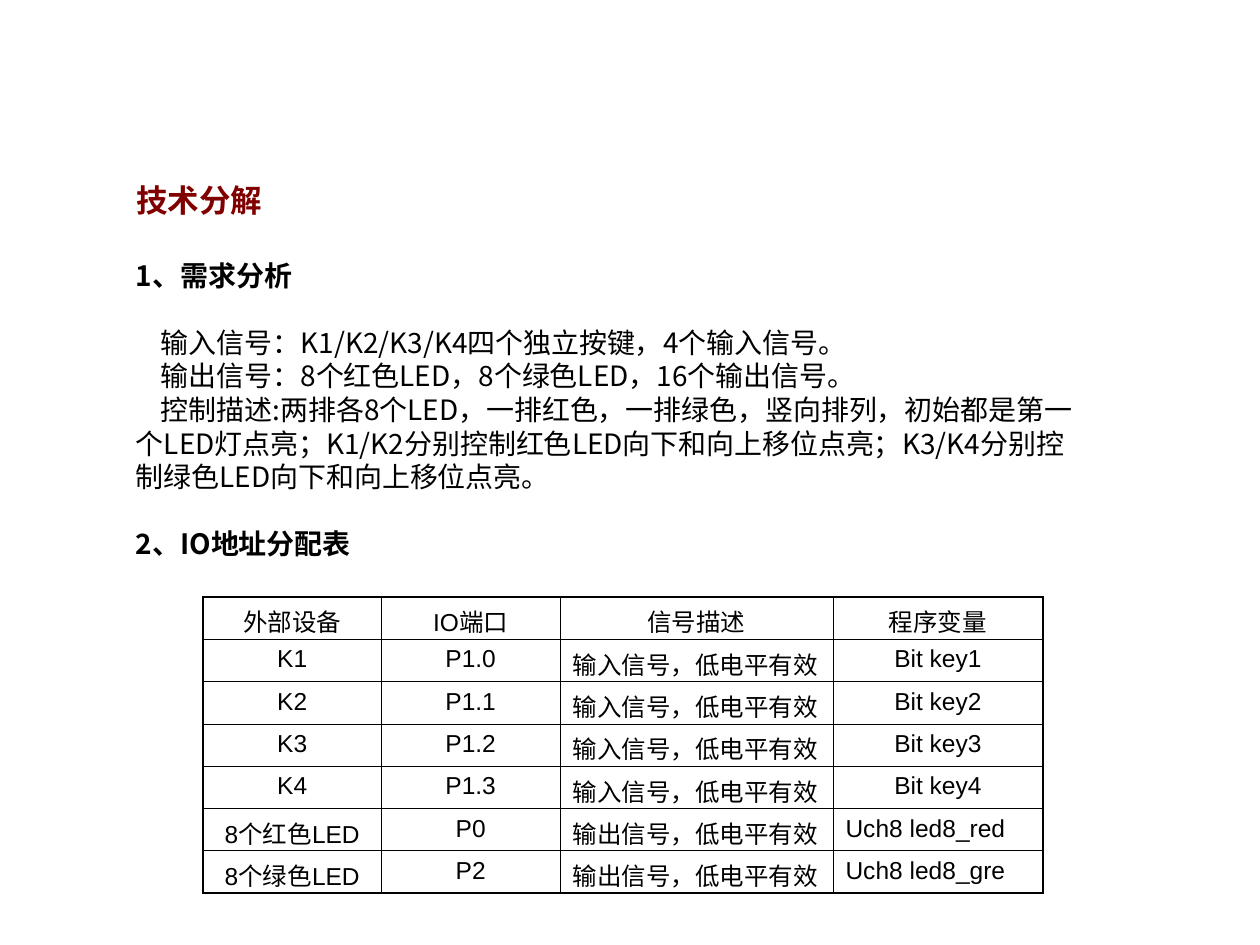
from lxml.etree import SubElement
from pptx import Presentation
from pptx.dml.color import RGBColor
from pptx.enum.text import MSO_ANCHOR, MSO_AUTO_SIZE, PP_ALIGN
from pptx.oxml.ns import qn
from pptx.util import Pt

CJK = "Noto Sans CJK SC"
LATIN = "Arial"
BLACK = "000000"
DARK_RED = "800000"


def color(value):
    return RGBColor.from_string(value)


class SlideBuilder:
    line_factor = 1.2
    body_size = 16
    table_size = 14
    outer_border = 1.08
    inner_border = 0.45

    def __init__(self, slide):
        self.slide = slide

    def format_runs(self, paragraph, size, latin=CJK, shade=BLACK, bold=False):
        for run in paragraph.runs:
            run.font.size = Pt(size)
            run.font.bold = bold
            run.font.name = latin
            run.font.color.rgb = color(shade)
            SubElement(run.font._element, qn("a:ea"), typeface=CJK)

    def prepare_frame(self, frame):
        frame.word_wrap = True
        frame.auto_size = MSO_AUTO_SIZE.NONE
        frame.vertical_anchor = MSO_ANCHOR.TOP

    def title(self, text, left, top, width, height, size):
        heading = self.slide.shapes.title
        heading.left, heading.top = Pt(left), Pt(top)
        heading.width, heading.height = Pt(width), Pt(height)
        frame = heading.text_frame
        self.prepare_frame(frame)
        frame.text = text
        paragraph = frame.paragraphs[0]
        paragraph.alignment = PP_ALIGN.LEFT
        paragraph.line_spacing = Pt(size * self.line_factor)
        self.format_runs(paragraph, size, shade=DARK_RED, bold=True)

    def sections(self, content, left, top, width, height, indent):
        box = self.slide.shapes.add_textbox(Pt(left), Pt(top), Pt(width), Pt(height))
        frame = box.text_frame
        self.prepare_frame(frame)
        pitch = Pt(self.body_size * self.line_factor)
        frame.text = "\n".join(text for text, _ in content)
        after_heading = False
        for index, (paragraph, (_, is_heading)) in enumerate(zip(frame.paragraphs, content)):
            paragraph.line_spacing = pitch
            if index and (is_heading or after_heading):
                paragraph.space_before = pitch
            if not is_heading:
                paragraph._p.get_or_add_pPr().set("indent", str(Pt(indent)))
            self.format_runs(paragraph, self.body_size, bold=is_heading)
            after_heading = is_heading

    def border(self, cell, side, width):
        line = SubElement(cell._tc.get_or_add_tcPr(), qn(f"a:{side}"), w=str(Pt(width)))
        fill = SubElement(line, qn("a:solidFill"))
        SubElement(fill, qn("a:srgbClr"), val=BLACK)

    def cell(self, cell, text, alignment, outer_sides):
        cell.text = text
        cell.margin_left = cell.margin_right = Pt(7.2)
        cell.margin_top, cell.margin_bottom = Pt(3.6), 0
        cell.vertical_anchor = MSO_ANCHOR.TOP
        paragraph = cell.text_frame.paragraphs[0]
        paragraph.alignment = alignment
        self.format_runs(paragraph, self.table_size, latin=LATIN)
        for side, is_outer in outer_sides.items():
            self.border(cell, side, self.outer_border if is_outer else self.inner_border)
        cell.fill.background()

    def table(self, rows, left, top, widths, row_height):
        last_row, last_column = len(rows) - 1, len(widths) - 1
        table = self.slide.shapes.add_table(
            len(rows), len(widths), Pt(left), Pt(top),
            Pt(sum(widths)), Pt(row_height * len(rows))).table
        table.first_row = table.horz_banding = False
        for column, width in zip(table.columns, widths):
            column.width = Pt(width)
        for r, row in enumerate(rows):
            table.rows[r].height = Pt(row_height)
            for c, text in enumerate(row):
                is_left = (r > 0 and c == 2) or text.startswith("Uch8")
                alignment = PP_ALIGN.LEFT if is_left else PP_ALIGN.CENTER
                outer_sides = {"lnL": c == 0, "lnR": c == last_column,
                               "lnT": r == 0, "lnB": r == last_row}
                self.cell(table.cell(r, c), text, alignment, outer_sides)


def main():
    presentation = Presentation()
    presentation.slide_width, presentation.slide_height = Pt(720), Pt(540)
    builder = SlideBuilder(presentation.slides.add_slide(presentation.slide_layouts[5]))

    builder.title("技术分解", 70.6, 100, 550, 30, 18)
    builder.sections([
        ("1、需求分析", True),
        ("输入信号：K1/K2/K3/K4四个独立按键，4个输入信号。", False),
        ("输出信号：8个红色LED，8个绿色LED，16个输出信号。", False),
        ("控制描述:两排各8个LED，一排红色，一排绿色，竖向排列，初始都是第一个LED灯点亮；"
         "K1/K2分别控制红色LED向下和向上移位点亮；K3/K4分别控制绿色LED向下和向上移位点亮。", False),
        ("2、IO地址分配表", True),
    ], 70.6, 144, 550, 198, 14.3)

    low_input, low_output = "输入信号，低电平有效", "输出信号，低电平有效"
    keys = [(f"K{n}", f"P1.{n - 1}", low_input, f"Bit key{n}") for n in range(1, 5)]
    builder.table([
        ("外部设备", "IO端口", "信号描述", "程序变量"),
        *keys,
        ("8个红色LED", "P0", low_output, "Uch8 led8_red"),
        ("8个绿色LED", "P2", low_output, "Uch8 led8_gre"),
    ], 116, 341.2, [102, 102, 156, 120], 24.17)

    presentation.save("out.pptx")


if __name__ == "__main__":
    main()
